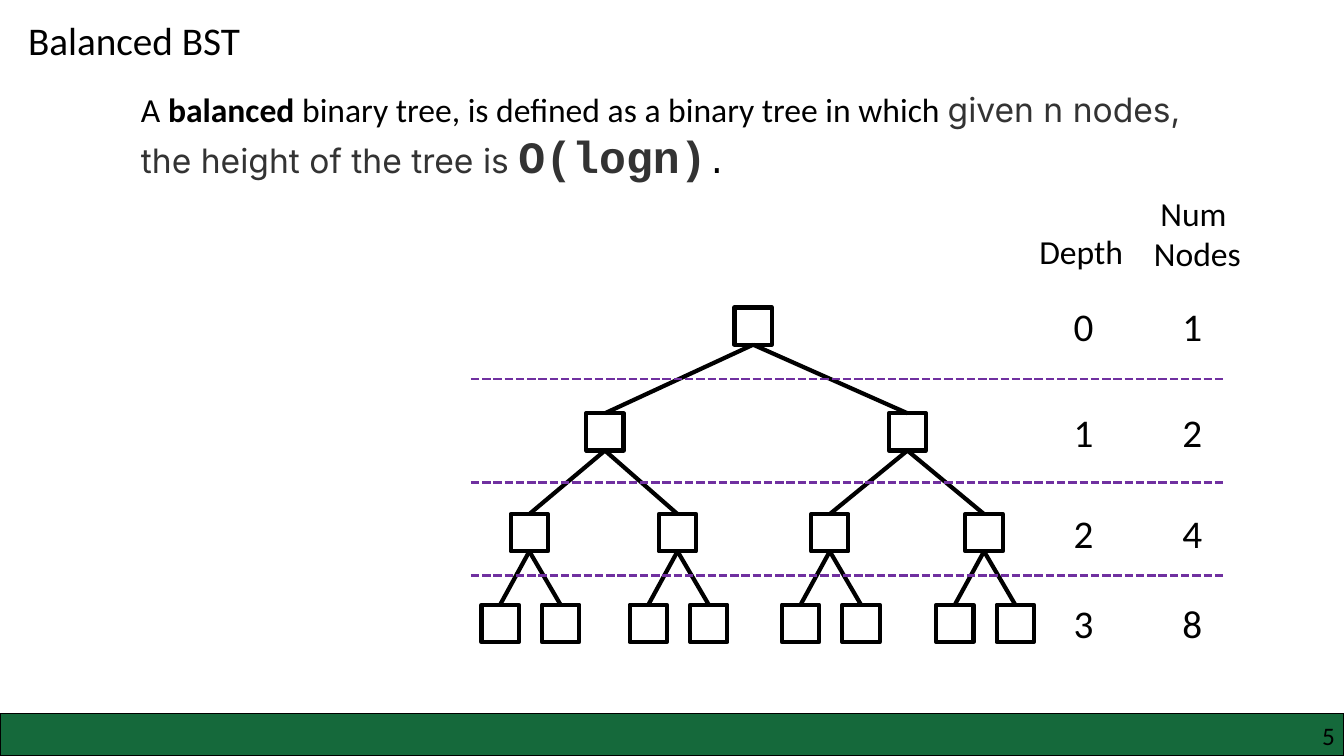
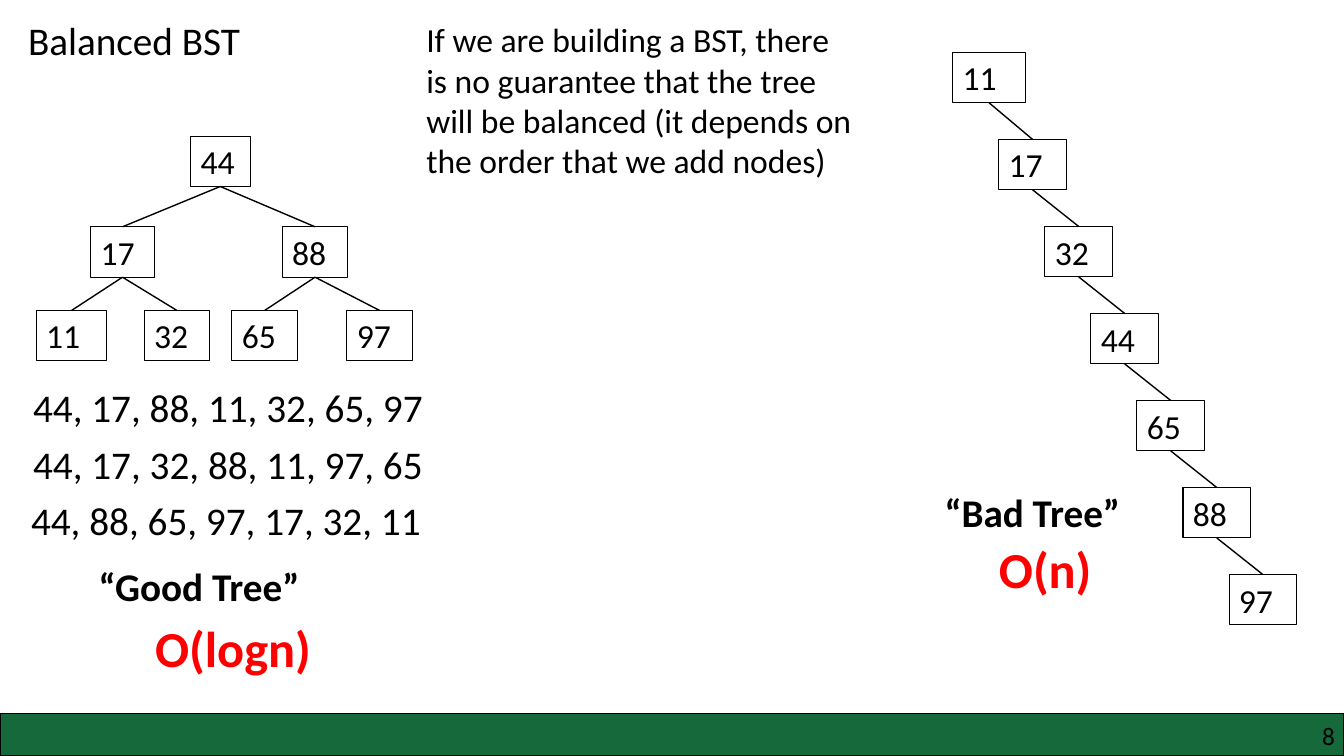
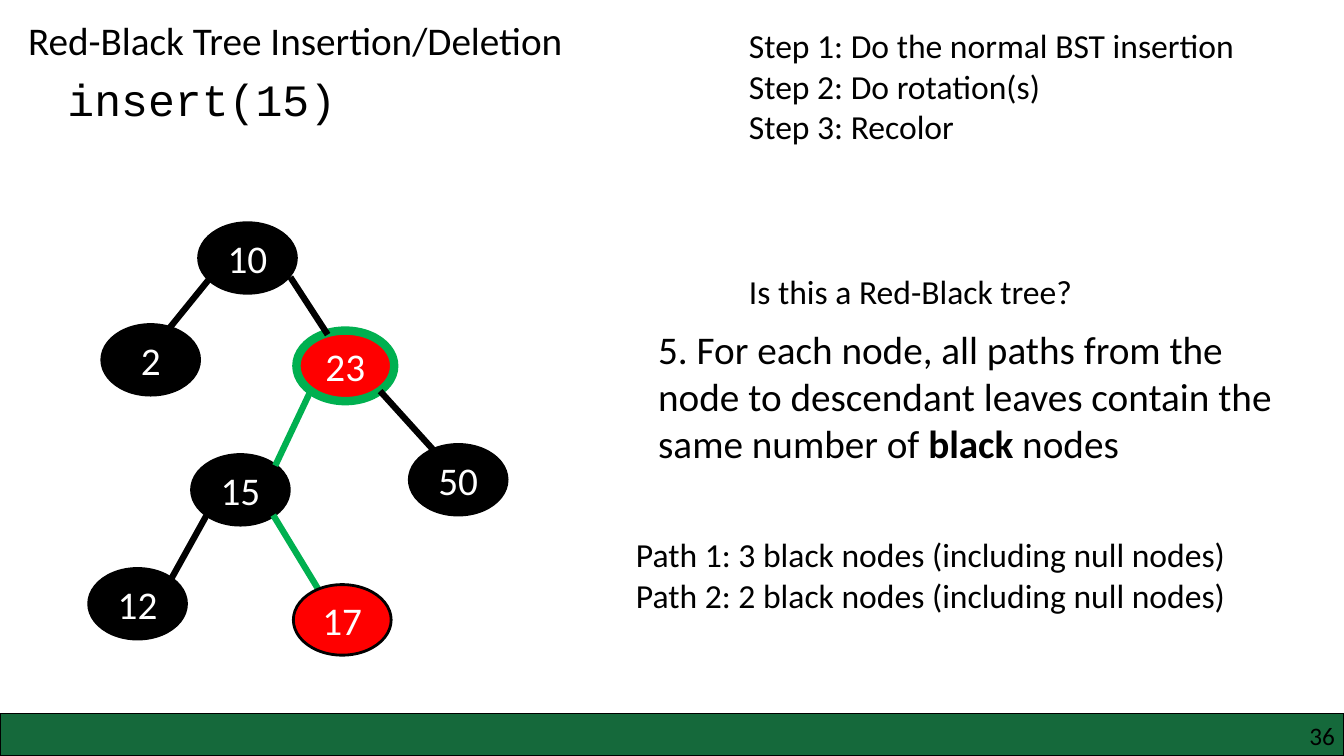
from lxml import etree
from pptx import Presentation
from pptx.dml.color import RGBColor
from pptx.enum import dml, shapes, text
from pptx.oxml import ns
from pptx.util import Inches, Pt

BLACK = RGBColor(0x00, 0x00, 0x00)
WHITE = RGBColor(0xFF, 0xFF, 0xFF)
CHARCOAL = RGBColor(0x33, 0x33, 0x33)
RED = RGBColor(0xFF, 0x00, 0x00)
BAND_GREEN = RGBColor(0x15, 0x69, 0x3B)
PATH_GREEN = RGBColor(0x00, 0xB0, 0x50)
PURPLE = RGBColor(0x70, 0x30, 0xA0)
RECTANGLE = shapes.MSO_SHAPE.RECTANGLE
OVAL = shapes.MSO_SHAPE.OVAL
LEFT, CENTER, RIGHT = text.PP_ALIGN.LEFT, text.PP_ALIGN.CENTER, text.PP_ALIGN.RIGHT
TOP, MIDDLE = text.MSO_ANCHOR.TOP, text.MSO_ANCHOR.MIDDLE


def add_box(page, at, paragraphs=(), size=24, color=BLACK, bold=False, font="Calibri",
            align=LEFT, anchor=TOP, wrap=True, kind=None, fill=None, line=BLACK, weight=0.75):
    """Add a text box, or a preset shape if kind is given.

    A paragraph is a string or a list of (text, changed font settings) pairs.
    """
    place = [Inches(length) for length in at]
    if kind is None:
        box = page.shapes.add_textbox(*place)
    else:
        box = page.shapes.add_shape(kind, *place)
        box.shadow.inherit = False
        if fill is None:
            box.fill.background()
        else:
            box.fill.solid()
            box.fill.fore_color.rgb = fill
        box.line.color.rgb = line
        box.line.width = Pt(weight)
    frame = box.text_frame
    frame.word_wrap = wrap
    frame.vertical_anchor = anchor
    if not wrap:
        frame.auto_size = text.MSO_AUTO_SIZE.SHAPE_TO_FIT_TEXT
    for index, content in enumerate(paragraphs):
        para = frame.add_paragraph() if index else frame.paragraphs[0]
        para.alignment = align
        for words, changes in [(content, {})] if isinstance(content, str) else content:
            span = para.add_run()
            span.text = words
            span.font.name = changes.get("font", font)
            span.font.size = Pt(changes.get("size", size))
            span.font.bold = changes.get("bold", bold)
            span.font.color.rgb = changes.get("color", color)
    return box


def add_line(page, start, end, weight, color=BLACK, dash=None):
    ends = [Inches(length) for length in (*start, *end)]
    line = page.shapes.add_connector(shapes.MSO_CONNECTOR.STRAIGHT, *ends)
    line.line.color.rgb = color
    line.line.width = Pt(weight)
    if dash is not None:
        line.line.dash_style = dash
    etree.SubElement(line._element.spPr, ns.qn("a:effectLst"))


deck = Presentation()
deck.slide_width, deck.slide_height = Inches(13.33), Inches(7.5)

# Shared band, page number and title
pages = []
for title, width, number in [("Balanced BST", 2.33, "5"), ("Balanced BST", 2.33, "8"),
                             ("Red-Black Tree Insertion/Deletion", 5.56, "36")]:
    page = deck.slides.add_slide(deck.slide_layouts[6])
    add_box(page, (0, 7.08, 13.33, 0.42), kind=RECTANGLE, fill=BAND_GREEN, weight=1)
    frame = add_box(page, (10.17, 7.15, 3.07, 0.3), [number], 18, align=RIGHT).text_frame
    frame.margin_left = frame.margin_right = frame.margin_top = frame.margin_bottom = 0
    add_box(page, (0.18, 0.11, width, 0.57), [title], 28, wrap=False)
    pages.append(page)
balanced, comparison, red_black = pages

# Balanced tree with its depths
add_box(balanced, (1.3, 0.83, 10.65, 1.04), [[
    ("A ", {}),
    ("balanced", {"bold": True}),
    (" binary tree, is defined as a binary tree in which ", {}),
    ("given n nodes, the height of the tree is ", {"font": "Inter", "color": CHARCOAL}),
    ("O(logn)", {"font": "Courier New", "size": 32, "bold": True, "color": CHARCOAL}),
    (".", {"font": "Courier New"}),
]])
SIDE = 0.37
inner = [5.25, 6.72, 8.23, 9.76]
leaves = [center + shift for center in inner for shift in (-0.29, 0.31)]
levels = [(3.05, [7.47]), (4.1, [6, 9]), (5.1, inner), (6, leaves)]
for depth, (top, centers) in enumerate(levels):
    for index, center in enumerate(centers):
        add_box(balanced, (center - SIDE / 2, top, SIDE, SIDE), kind=RECTANGLE, weight=3)
        if depth:
            above, parents = levels[depth - 1]
            add_line(balanced, (parents[index // 2], above + SIDE), (center, top), 3)
    row = add_box(balanced, (10.55, top - 0.1, 2.07, 0.57), [f"{depth}\t{len(centers)}"], 28)
    properties = row.text_frame.paragraphs[0]._p.get_or_add_pPr()
    stops = etree.SubElement(properties, ns.qn("a:tabLst"))
    etree.SubElement(stops, ns.qn("a:tab"), pos=str(Inches(1.08)), algn="l")
for height in (3.76, 4.79, 5.71):
    add_line(balanced, (4.67, height), (12.13, height), 2, PURPLE, dml.MSO_LINE.SQUARE_DOT)
add_box(balanced, (10.21, 2.24, 1.25, 0.5), ["Depth"])
add_box(balanced, (11.25, 1.86, 1.25, 0.91), ["Num ", "Nodes"], align=CENTER)

# Good tree against bad tree
add_box(comparison, (4.13, 0.14, 4.47, 2.12), [
    "If we are building a BST, there is no guarantee that the tree will be balanced "
    "(it depends on the order that we add nodes)"])
for at, label, size, color in [
    ((0.88, 5.53, 2.21, 0.57), "“Good Tree”", 28, BLACK),
    ((1.44, 6.07, 1.77, 0.71), "O(logn)", 36, RED),
    ((9.27, 4.8, 1.96, 0.57), "“Bad Tree”", 28, BLACK),
    ((9.81, 5.29, 1.13, 0.71), "O(n)", 36, RED),
]:
    add_box(comparison, at, [label], size, color, bold=True, wrap=False)
for left, top, order in [(0.23, 3.75, "44, 17, 88, 11, 32, 65, 97"),
                         (0.23, 4.32, "44, 17, 32, 88, 11, 97, 65"),
                         (0.21, 4.87, "44, 88, 65, 97, 17, 32, 11")]:
    add_box(comparison, (left, top, 5.01, 0.57), [order], 28)

# Each node: value, left, top, width, index of its parent
good_tree = [("44", 1.89, 1.35, 0.59, None), ("17", 0.9, 2.25, 0.63, 0),
             ("88", 2.8, 2.25, 0.65, 0), ("11", 0.36, 3.08, 0.7, 1),
             ("32", 1.43, 3.08, 0.65, 1), ("65", 2.3, 3.08, 0.65, 2),
             ("97", 3.44, 3.08, 0.65, 2)]
bad_tree = [(value, 9.45 + 2.74 * index / 6, 0.52 + 5.18 * index / 6,
             0.67 if index else 0.72, index - 1 if index else None)
            for index, value in enumerate(["11", "17", "32", "44", "65", "88", "97"])]
NODE_HEIGHT = 0.5
for tree in (good_tree, bad_tree):
    for value, left, top, width, parent in tree:
        add_box(comparison, (left, top, width, NODE_HEIGHT), [value], kind=RECTANGLE)
        if parent is not None:
            _, parent_left, parent_top, parent_width, _ = tree[parent]
            add_line(comparison, (parent_left + parent_width / 2, parent_top + NODE_HEIGHT),
                     (left + width / 2, top), 1)

# Red-black insertion
add_box(red_black, (0.57, 0.66, 2.9, 0.64), ["insert(15)"], 32, font="Courier New", wrap=False)
add_box(red_black, (7.33, 0.2, 5.06, 1.31), [
    "Step 1: Do the normal BST insertion", "Step 2: Do rotation(s)", "Step 3: Recolor"],
    wrap=False)
add_box(red_black, (7.33, 2.64, 3.44, 0.5), ["Is this a Red-Black tree?"], wrap=False)
add_box(red_black, (6.43, 3.18, 6.67, 1.51), [[
    ("5. For each node, all paths from the node to descendant leaves contain the same number of ",
     {}),
    ("black", {"bold": True}),
    (" nodes", {}),
]], 28)
add_box(red_black, (6.21, 5.25, 6.67, 0.9), [
    "Path 1: 3 black nodes (including null nodes)",
    "Path 2: 2 black nodes (including null nodes)"])

edges = [((2.09, 2.75), (1.62, 3.33), BLACK), ((2.88, 2.75), (3.25, 3.32), BLACK),
         ((3.08, 3.88), (2.73, 4.62), PATH_GREEN), ((3.77, 3.88), (4.34, 4.51), BLACK),
         ((2.05, 5.11), (1.7, 5.74), BLACK), ((2.71, 5.11), (3.19, 5.9), PATH_GREEN)]
nodes = [("10", 1.97, 2.21, BLACK, BLACK, 2), ("2", 1.01, 3.22, BLACK, BLACK, 2),
         ("23", 2.94, 3.28, RED, PATH_GREEN, 6), ("50", 4.06, 4.41, BLACK, BLACK, 2),
         ("15", 1.9, 4.51, BLACK, BLACK, 2), ("12", 0.88, 5.64, BLACK, BLACK, 2),
         ("17", 2.91, 5.8, RED, BLACK, 2)]
for value, left, top, fill, outline, weight in nodes:
    if value == "17":  # the last node lies over the edges
        for start, end, color in edges:
            add_line(red_black, start, end, 4.5, color)
    add_box(red_black, (left, top, 0.97, 0.7), [value], 28, WHITE, align=CENTER, anchor=MIDDLE,
            kind=OVAL, fill=fill, line=outline, weight=weight)

deck.save("out.pptx")
